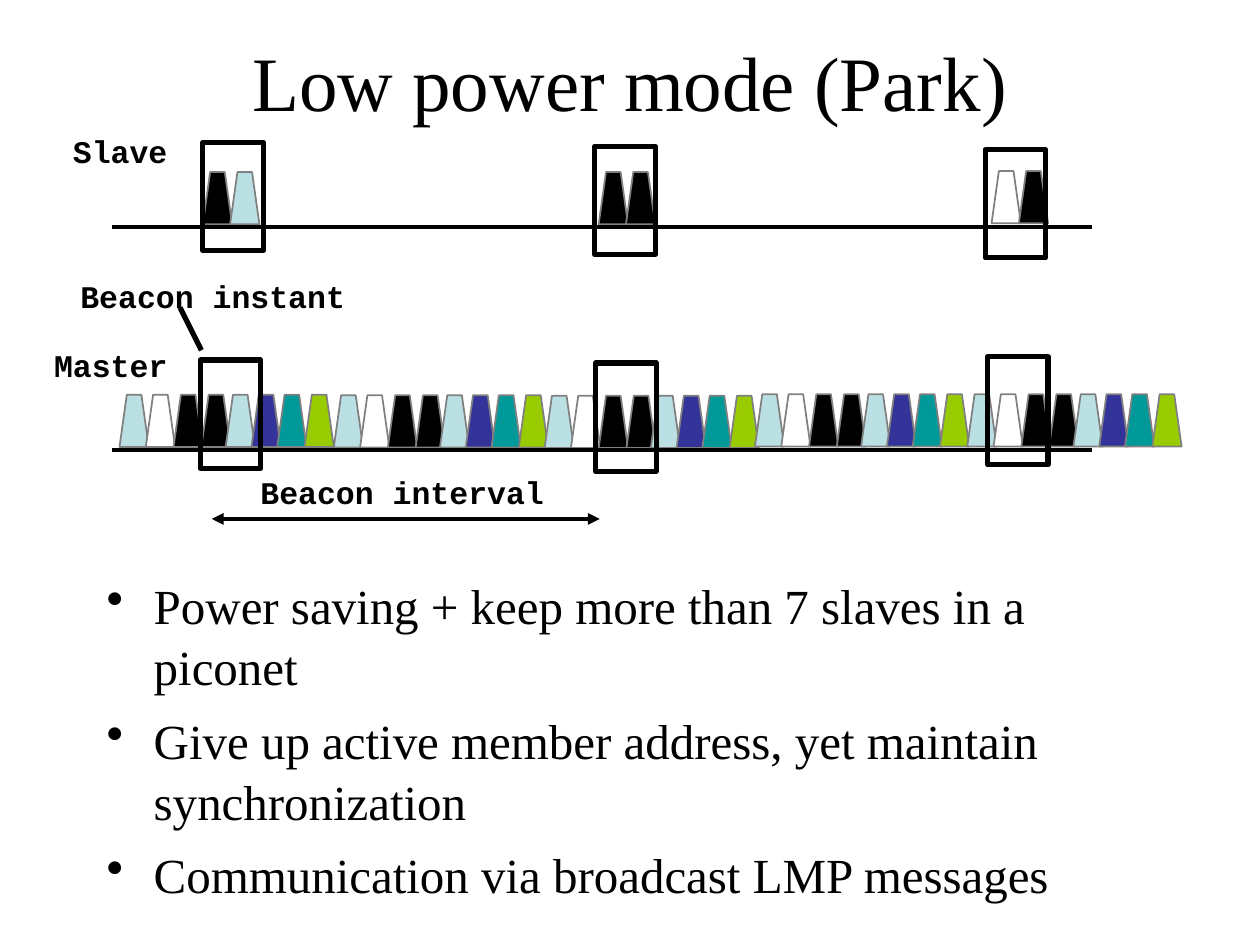
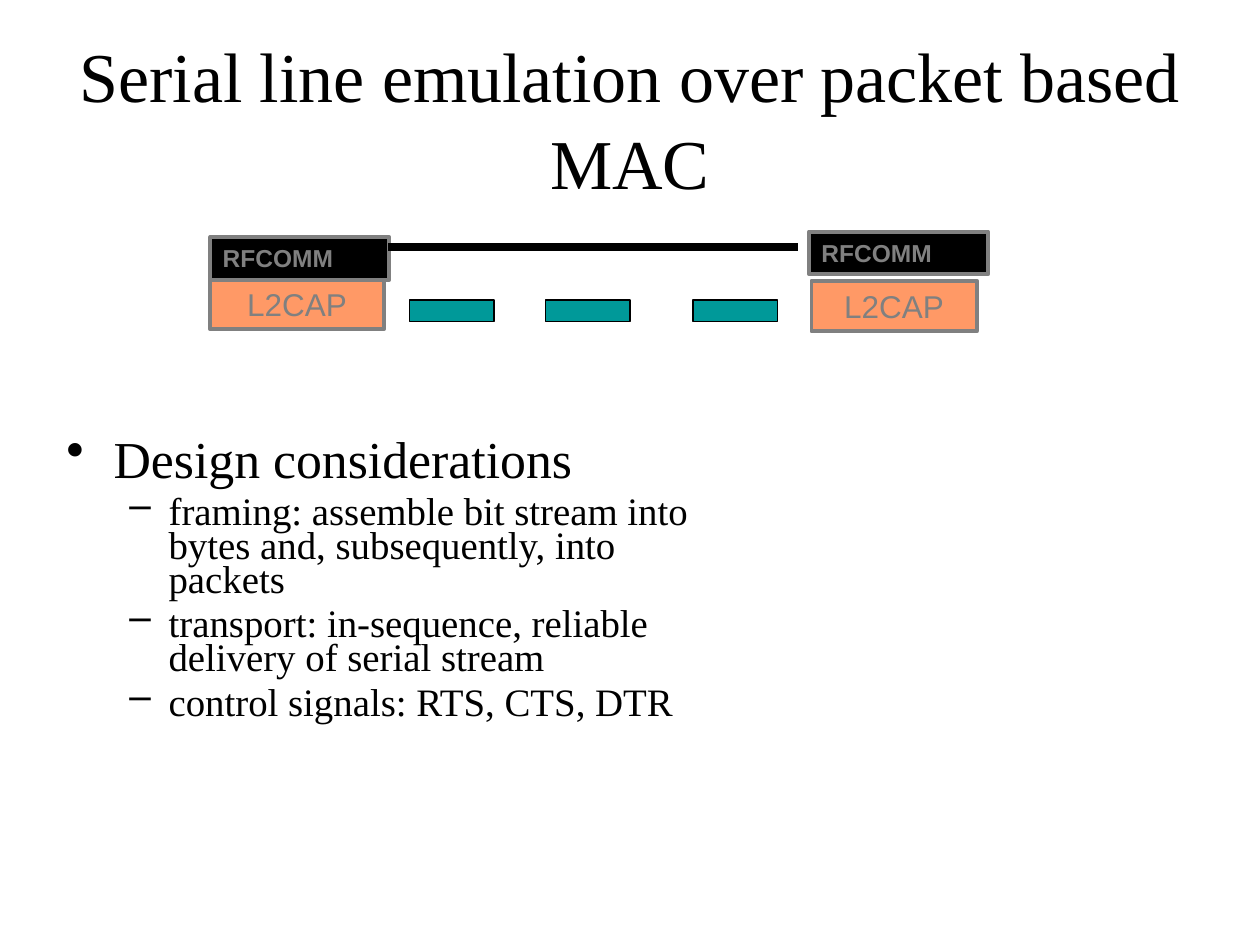
from lxml.etree import SubElement
from pptx import Presentation
from pptx.dml.color import RGBColor
from pptx.enum.shapes import MSO_CONNECTOR as Link, MSO_SHAPE as Kind
from pptx.enum.text import MSO_ANCHOR as Anchor, PP_ALIGN as Align
from pptx.oxml.ns import qn
from pptx.util import Cm, Pt

HUES = {
    "black": "000000", "white": "FFFFFF", "grey": "808080", "light": "BBE0E3",
    "blue": "333399", "teal": "009999", "lime": "99CC00", "peach": "FF9966",
}
SERIF, SANS, MONO = "Times New Roman", "Arial", "Courier New"
LABEL = {"name": MONO, "size": Pt(18), "bold": True}
CYCLE = ["light", "white", "black", "black", "light", "blue", "teal", "lime"]
STEPS = [0, 0.53, 1.09, 1.65, 2.14, 2.66, 3.18, 3.73]
PAIR = [0, 0.55]


def hue(name):
    """Return the colour of that name."""
    return RGBColor.from_string(HUES[name])


def style(item, form):
    """Set each attribute of a format on an item."""
    for key, value in form.items():
        setattr(item, key, value)


def write(par, text, form, tint="black"):
    """Fill a paragraph with one styled run."""
    run = par.add_run()
    run.text = text
    style(run.font, form)
    run.font.color.rgb = hue(tint)


def frame(slide, box, wrap=True):
    """Add a text box and return its text frame."""
    body = slide.shapes.add_textbox(*map(Cm, box)).text_frame
    body.word_wrap = wrap
    return body


def title(slide, text, top, size):
    """Add the centred slide title."""
    body = frame(slide, (1.27, top, 22.86, 3.18))
    body.vertical_anchor = Anchor.MIDDLE
    par = body.paragraphs[0]
    style(par, {"alignment": Align.CENTER, "line_spacing": 1.04})
    write(par, text, {"name": SERIF, "size": Pt(size)})


def label(slide, text, x, y, wide):
    """Add a diagram label on one line."""
    body = frame(slide, (x, y, wide, 1.02), False)
    write(body.paragraphs[0], text, LABEL)


def bullets(slide, box, rows, looks, pitch):
    """Add a bulleted list of (level, text) rows."""
    body = frame(slide, box)
    for num, (level, text) in enumerate(rows):
        mark, left, hang, gap, size = looks[level]
        par = body.add_paragraph() if num else body.paragraphs[0]
        props = par._p.get_or_add_pPr()
        props.set("marL", str(Cm(left)))
        props.set("indent", str(-Cm(hang)))
        SubElement(props, qn("a:buChar"), char=mark)
        style(par, {"level": level, "line_spacing": pitch,
                    "space_before": Pt(gap if num else 0)})
        write(par, text, {"name": SERIF, "size": Pt(size)})


def block(slide, kind, box, fill, edge, weight):
    """Add a preset shape, hollow when fill is None."""
    shape = slide.shapes.add_shape(kind, *map(Cm, box))
    shape.shadow.inherit = False
    if fill:
        shape.fill.solid()
        shape.fill.fore_color.rgb = hue(fill)
    else:
        shape.fill.background()
    shape.line.color.rgb = hue(edge)
    shape.line.width = Pt(weight)
    return shape


def line(slide, ends, weight, heads=()):
    """Add a straight black line with optional arrowheads."""
    link = slide.shapes.add_connector(Link.STRAIGHT, *map(Cm, ends))
    link.line.color.rgb = hue("black")
    link.line.width = Pt(weight)
    for head in heads:
        SubElement(link.line._get_or_add_ln(), qn(head), type="triangle")
    SubElement(link._element.spPr, qn("a:effectLst"))


def burst(slide, x, y, tints, steps):
    """Add a run of packets starting at a point."""
    for tint, step in zip(tints, steps):
        block(slide, Kind.TRAPEZOID, (x + step, y, 0.59, 1.05),
              tint, "grey", 1)


def lane(slide, x, y, bursts, frames):
    """Draw a time line with its packets and beacon windows."""
    for dx, dy, tints, steps in bursts:
        burst(slide, x + dx, y + dy, tints, steps)
    line(slide, (x, y, x + 19.76, y), 2.25)
    for dx, dy in frames:
        block(slide, Kind.RECTANGLE, (x + dx, y + dy, 1.22, 2.18),
              None, "black", 3)


def stack(slide, x, y, dx, dy, wide):
    """Draw one protocol stack from its top left corner."""
    layers = [
        ("L2CAP", (x + dx, y + dy, wide, 1.02), "peach", Align.CENTER,
         {"name": SANS, "size": Pt(18)}),
        ("RFCOMM", (x, y, 3.61, 0.86), "black", Align.LEFT,
         {"name": SANS, "size": Pt(14), "bold": True}),
    ]
    for text, box, fill, side, form in layers:
        body = block(slide, Kind.RECTANGLE, box, fill, "grey", 2.25).text_frame
        style(body, {"vertical_anchor": Anchor.TOP, "word_wrap": True})
        par = body.paragraphs[0]
        par.alignment = side
        write(par, text, form, "grey")


def park(slide):
    """Build the slide on park mode."""
    title(slide, "Low power mode (Park)", 0, 44)
    label(slide, "Master", 0.84, 6.86, 2.79)
    label(slide, "Slave", 1.22, 2.54, 2.41)
    label(slide, "Beacon interval", 5, 9.42, 6.22)
    line(slide, (4.27, 10.46, 12.09, 10.46), 2.25, ("a:headEnd", "a:tailEnd"))
    label(slide, "Beacon instant", 1.37, 5.46, 5.84)
    line(slide, (3.63, 6.2, 4.06, 7.06), 3)
    lane(slide, 2.26, 4.57,
         [(1.83, -1.1, ["black", "light"], PAIR),
          (9.81, -1.1, ["black", "black"], PAIR),
          (17.73, -1.12, ["white", "black"], PAIR)],
         [(1.83, -1.7), (9.73, -1.62), (17.6, -1.55)])
    starts = [(0.15, -1.11), (4.47, -1.1), (8.72, -1.09),
              (12.96, -1.12), (17.24, -1.12)]
    lane(slide, 2.26, 9.07,
         [(dx, dy, CYCLE, STEPS) for dx, dy in starts],
         [(1.78, -1.81), (9.75, -1.75), (17.65, -1.88)])
    bullets(slide, (1.9, 11.43, 21.64, 6.78), [
        (0, "Power saving + keep more than 7 slaves in a piconet"),
        (0, "Give up active member address, yet maintain synchronization"),
        (0, "Communication via broadcast LMP messages"),
    ], [("•", 0.95, 0.95, 7, 28)], 1.04)


def serial(slide):
    """Build the slide on serial line emulation."""
    title(slide, "Serial line emulation over packet based MAC", 0.76, 40)
    stack(slide, 4.24, 4.78, 0, 0.84, 3.5)
    stack(slide, 16.31, 4.67, 0.05, 0.99, 3.33)
    line(slide, (7.82, 4.98, 16.08, 4.98), 4.5)
    for x in (8.26, 11, 13.97):
        block(slide, Kind.RECTANGLE, (x, 6.05, 1.7, 0.43),
              "teal", "black", 0.75)
    bullets(slide, (1.09, 8.79, 13.34, 5.72), [
        (0, "Design considerations"),
        (1, "framing: assemble bit stream into bytes and, subsequently, "
            "into packets"),
        (1, "transport: in-sequence, reliable delivery of serial stream"),
        (1, "control signals: RTS, CTS, DTR"),
    ], [("•", 0.95, 0.95, 8, 29.6), ("–", 2.06, 0.79, 6, 22.2)], 0.73)


def main():
    """Build and save the deck."""
    deck = Presentation()
    style(deck, {"slide_width": Cm(25.4), "slide_height": Cm(19.05)})
    for build in (park, serial):
        build(deck.slides.add_slide(deck.slide_layouts[6]))
    deck.save("out.pptx")


if __name__ == "__main__":
    main()
